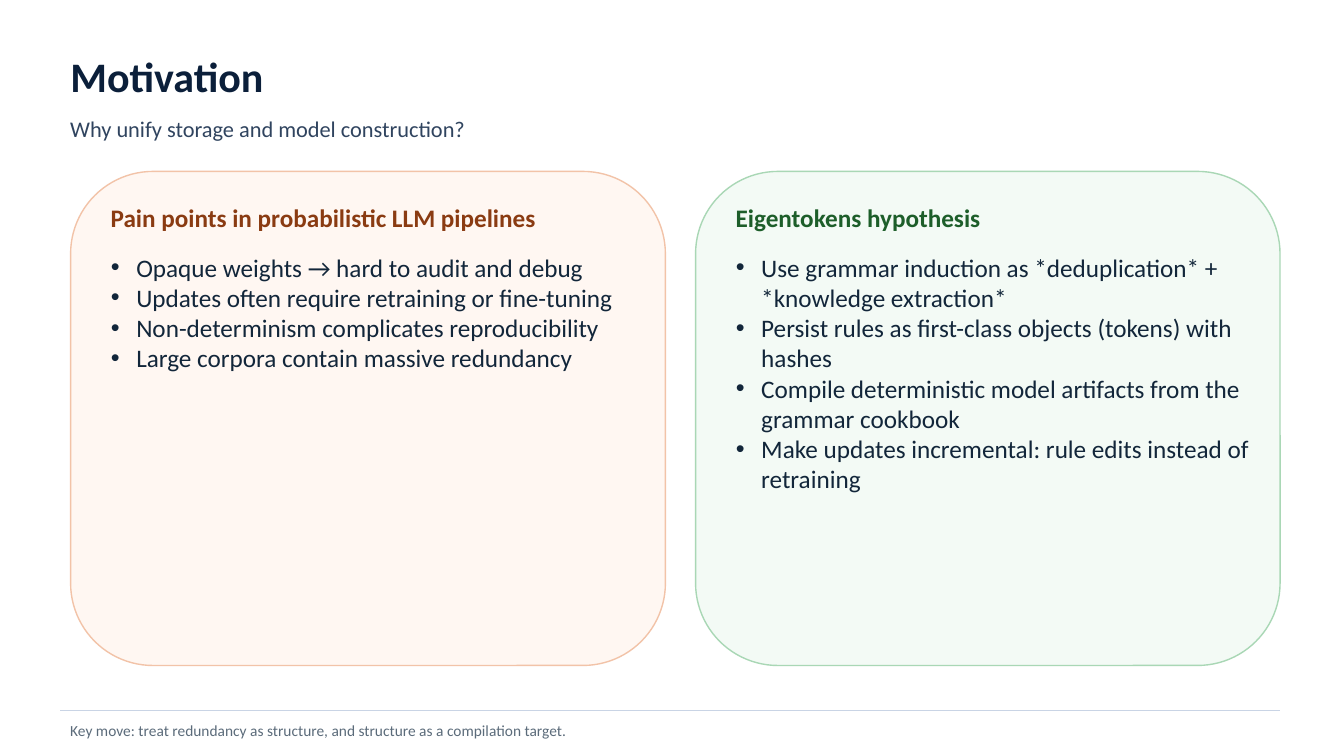
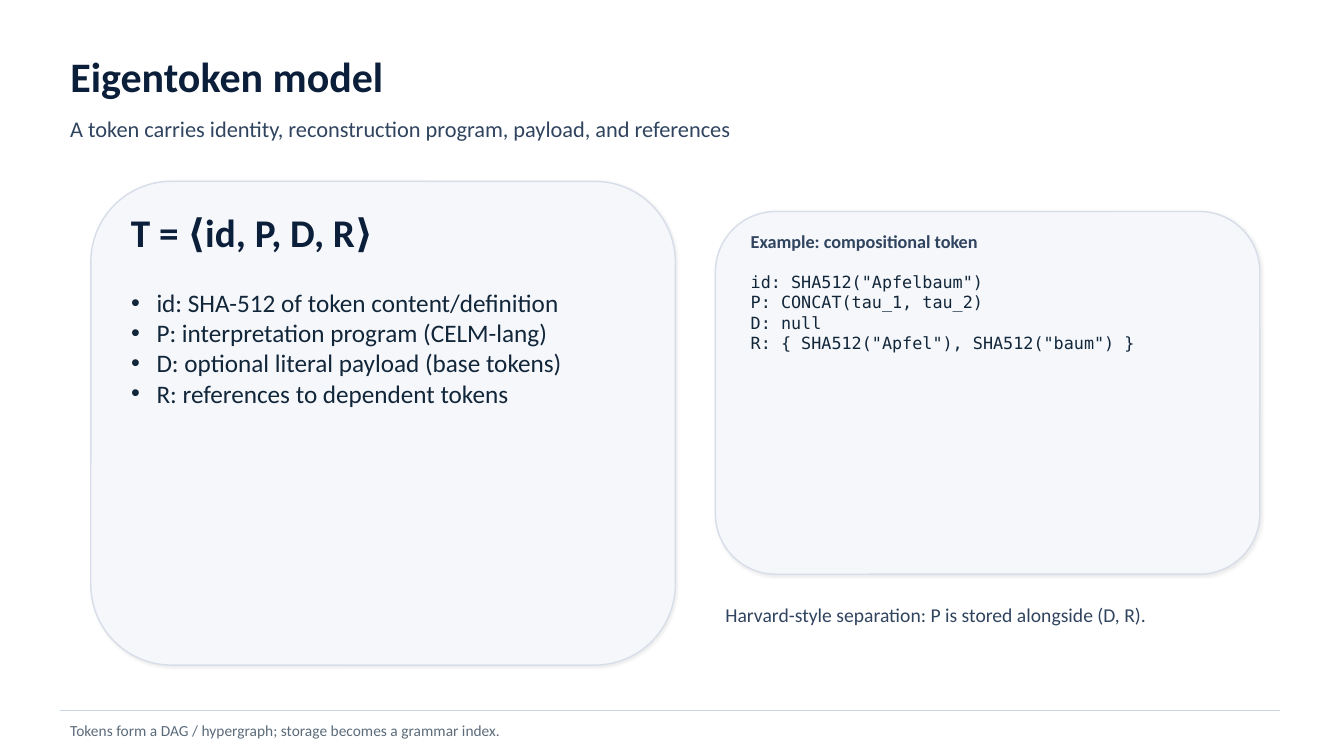
from dataclasses import dataclass

from lxml.etree import SubElement
from pptx import Presentation
from pptx.dml.color import RGBColor
from pptx.enum.shapes import MSO_CONNECTOR as Connector, MSO_SHAPE as Shape
from pptx.enum.text import MSO_ANCHOR as Anchor, MSO_AUTO_SIZE as AutoSize, PP_ALIGN as Align
from pptx.oxml.ns import qn
from pptx.slide import Slide
from pptx.text.text import TextFrame
from pptx.util import Cm, Pt

# Colours
NAVY = RGBColor(0x0B, 0x1F, 0x3A)
SLATE = RGBColor(0x30, 0x44, 0x5F)
INK = RGBColor(0x12, 0x26, 0x3A)
GREY = RGBColor(0x5B, 0x6B, 0x7A)
RULE = RGBColor(0xC9, 0xD4, 0xE5)
RUST = RGBColor(0x8A, 0x3B, 0x12)
PEACH = RGBColor(0xFF, 0xF7, 0xF2)
PEACH_EDGE = RGBColor(0xF2, 0xC3, 0xA8)
GREEN = RGBColor(0x1D, 0x5E, 0x2A)
MINT = RGBColor(0xF3, 0xFA, 0xF5)
MINT_EDGE = RGBColor(0xA9, 0xD7, 0xB5)
MIST = RGBColor(0xF5, 0xF7, 0xFB)
MIST_EDGE = RGBColor(0xD7, 0xDE, 0xE9)

# Layouts of the default template
TITLE_AND_CONTENT, TWO_CONTENT = 1, 3


@dataclass(frozen=True)
class Box:
    """A rectangle in centimetres."""
    left: float
    top: float
    width: float
    height: float

    def lengths(self) -> tuple[Cm, Cm, Cm, Cm]:
        return Cm(self.left), Cm(self.top), Cm(self.width), Cm(self.height)

    def row(self, dx: float, dy: float, right: float, height: float) -> "Box":
        """A row inside the box, given its left, top and right insets."""
        return Box(self.left + dx, self.top + dy, self.width - dx - right, height)


@dataclass(frozen=True)
class Style:
    size: float
    color: RGBColor
    bold: bool = False
    face: str = "Calibri"
    anchor: Anchor = Anchor.MIDDLE


@dataclass(frozen=True)
class Card:
    box: Box
    fill: RGBColor
    edge: RGBColor
    shadow: bool = False


@dataclass(frozen=True)
class Panel:
    """A card with a heading and a bulleted list."""
    card: Card
    heading: str
    heading_style: Style
    heading_box: Box
    list_box: Box
    items: list[str]


# Shared frame of every slide
TITLE_BOX = Box(1.52, 1.14, 30.73, 1.52)
SUBTITLE_BOX = Box(1.52, 2.67, 30.73, 1.14)
FOOTER_BOX = Box(1.52, 18.03, 30.73, 0.76)
RULE_TOP = 17.91

TITLE = Style(30, NAVY, bold=True)
SUBTITLE = Style(16, SLATE)
FOOTER = Style(11, GREY)
BULLETS = Style(18, INK, anchor=Anchor.TOP)
FORMULA = Style(28, NAVY, bold=True)
EXAMPLE = Style(13, SLATE, bold=True)
CODE = Style(12, INK, face="DejaVu Sans Mono", anchor=Anchor.TOP)
REMARK = Style(14, SLATE)


def write(frame: TextFrame, lines: list[str], style: Style, bulleted: bool = False) -> None:
    frame.word_wrap = True
    frame.auto_size = AutoSize.NONE
    frame.vertical_anchor = style.anchor
    frame.text = "\n".join(lines)
    for paragraph in frame.paragraphs:
        paragraph.alignment = Align.LEFT
        paragraph.space_before = Pt(0)
        font = paragraph.font
        font.name, font.size, font.bold = style.face, Pt(style.size), style.bold
        font.color.rgb = style.color
        if bulleted:
            properties = paragraph._p.get_or_add_pPr()
            properties.set("marL", str(Cm(0.64)))
            properties.set("indent", str(-Cm(0.64)))
            bullet = properties.makeelement(qn("a:buChar"), {"char": "•"})
            properties.insert_element_before(bullet, "a:tabLst", "a:defRPr", "a:extLst")


def add_text(slide: Slide, box: Box, lines: list[str], style: Style) -> None:
    write(slide.shapes.add_textbox(*box.lengths()).text_frame, lines, style)


def fill_placeholder(slide: Slide, index: int, box: Box, lines: list[str],
                     style: Style, bulleted: bool = False) -> None:
    holder = slide.placeholders[index]
    holder.left, holder.top, holder.width, holder.height = box.lengths()
    write(holder.text_frame, lines, style, bulleted)
    slide.shapes._spTree.append(holder._element)  # bring to front


def add_card(slide: Slide, card: Card) -> None:
    shape = slide.shapes.add_shape(Shape.ROUNDED_RECTANGLE, *card.box.lengths())
    shape.fill.solid()
    shape.fill.fore_color.rgb = card.fill
    shape.line.color.rgb = card.edge
    shape.line.width = Pt(1)
    shape.shadow.inherit = False
    if card.shadow:
        effects = shape._element.spPr.find(qn("a:effectLst"))
        outer = SubElement(effects, qn("a:outerShdw"), blurRad=str(Pt(2)), dist=str(Pt(1)),
                           dir=str(45 * 60000), algn="tl", rotWithShape="0")
        black = SubElement(outer, qn("a:srgbClr"), val="000000")
        SubElement(black, qn("a:alpha"), val="8000")


def add_panel(slide: Slide, index: int, panel: Panel) -> None:
    add_card(slide, panel.card)
    add_text(slide, panel.heading_box, [panel.heading], panel.heading_style)
    fill_placeholder(slide, index, panel.list_box, panel.items, BULLETS, bulleted=True)


def add_framed_slide(deck: Presentation, layout: int, title: str,
                     subtitle: str, footer: str) -> Slide:
    slide = deck.slides.add_slide(deck.slide_layouts[layout])
    fill_placeholder(slide, 0, TITLE_BOX, [title], TITLE)
    add_text(slide, SUBTITLE_BOX, [subtitle], SUBTITLE)
    rule = slide.shapes.add_connector(
        Connector.STRAIGHT, Cm(FOOTER_BOX.left), Cm(RULE_TOP),
        Cm(FOOTER_BOX.left + FOOTER_BOX.width), Cm(RULE_TOP))
    rule.line.color.rgb = RULE
    rule.line.width = Pt(1)
    SubElement(rule._element.spPr, qn("a:effectLst"))
    add_text(slide, FOOTER_BOX, [footer], FOOTER)
    return slide


def comparison_panel(card: Card, heading: str, color: RGBColor, items: list[str]) -> Panel:
    return Panel(card, heading, Style(18, color, bold=True),
                 card.box.row(0.76, 0.64, 0.51, 1.02),
                 card.box.row(0.76, 1.9, 0.51, 10.16), items)


def add_motivation(deck: Presentation) -> None:
    slide = add_framed_slide(
        deck, TWO_CONTENT, "Motivation", "Why unify storage and model construction?",
        "Key move: treat redundancy as structure, and structure as a compilation target.")
    pain_points = comparison_panel(
        Card(Box(1.78, 4.32, 14.99, 12.45), PEACH, PEACH_EDGE),
        "Pain points in probabilistic LLM pipelines", RUST,
        ["Opaque weights → hard to audit and debug",
         "Updates often require retraining or fine-tuning",
         "Non-determinism complicates reproducibility",
         "Large corpora contain massive redundancy"])
    hypothesis = comparison_panel(
        Card(Box(17.53, 4.32, 14.73, 12.45), MINT, MINT_EDGE),
        "Eigentokens hypothesis", GREEN,
        ["Use grammar induction as *deduplication* + *knowledge extraction*",
         "Persist rules as first-class objects (tokens) with hashes",
         "Compile deterministic model artifacts from the grammar cookbook",
         "Make updates incremental: rule edits instead of retraining"])
    for index, panel in enumerate((pain_points, hypothesis), start=1):
        add_panel(slide, index, panel)


def add_token_model(deck: Presentation) -> None:
    slide = add_framed_slide(
        deck, TITLE_AND_CONTENT, "Eigentoken model",
        "A token carries identity, reconstruction program, payload, and references",
        "Tokens form a DAG / hypergraph; storage becomes a grammar index.")

    # Definition
    definition = Box(2.29, 4.57, 14.73, 12.19)
    add_panel(slide, 1, Panel(
        Card(definition, MIST, MIST_EDGE, shadow=True), "T = ⟨id, P, D, R⟩", FORMULA,
        definition.row(0.76, 0.64, 0.76, 1.27),
        definition.row(0.76, 2.54, 0.76, 9.14),
        ["id: SHA-512 of token content/definition",
         "P: interpretation program (CELM-lang)",
         "D: optional literal payload (base tokens)",
         "R: references to dependent tokens"]))

    # Example with its remark
    example = Box(18.03, 5.33, 13.72, 9.14)
    add_card(slide, Card(example, MIST, MIST_EDGE, shadow=True))
    add_text(slide, example.row(0.64, 0.38, 0.64, 0.76),
             ["Example: compositional token"], EXAMPLE)
    add_text(slide, example.row(0.64, 1.4, 0.64, 7.24),
             ['id: SHA512("Apfelbaum")',
              "P: CONCAT(tau_1, tau_2)",
              "D: null",
              'R: { SHA512("Apfel"), SHA512("baum") }'], CODE)
    add_text(slide, example.row(0, 9.53, 0, 1.27),
             ["Harvard-style separation: P is stored alongside (D, R)."], REMARK)


def main() -> None:
    deck = Presentation()
    deck.slide_width, deck.slide_height = Cm(33.87), Cm(19.05)
    add_motivation(deck)
    add_token_model(deck)
    deck.save("out.pptx")


if __name__ == "__main__":
    main()
